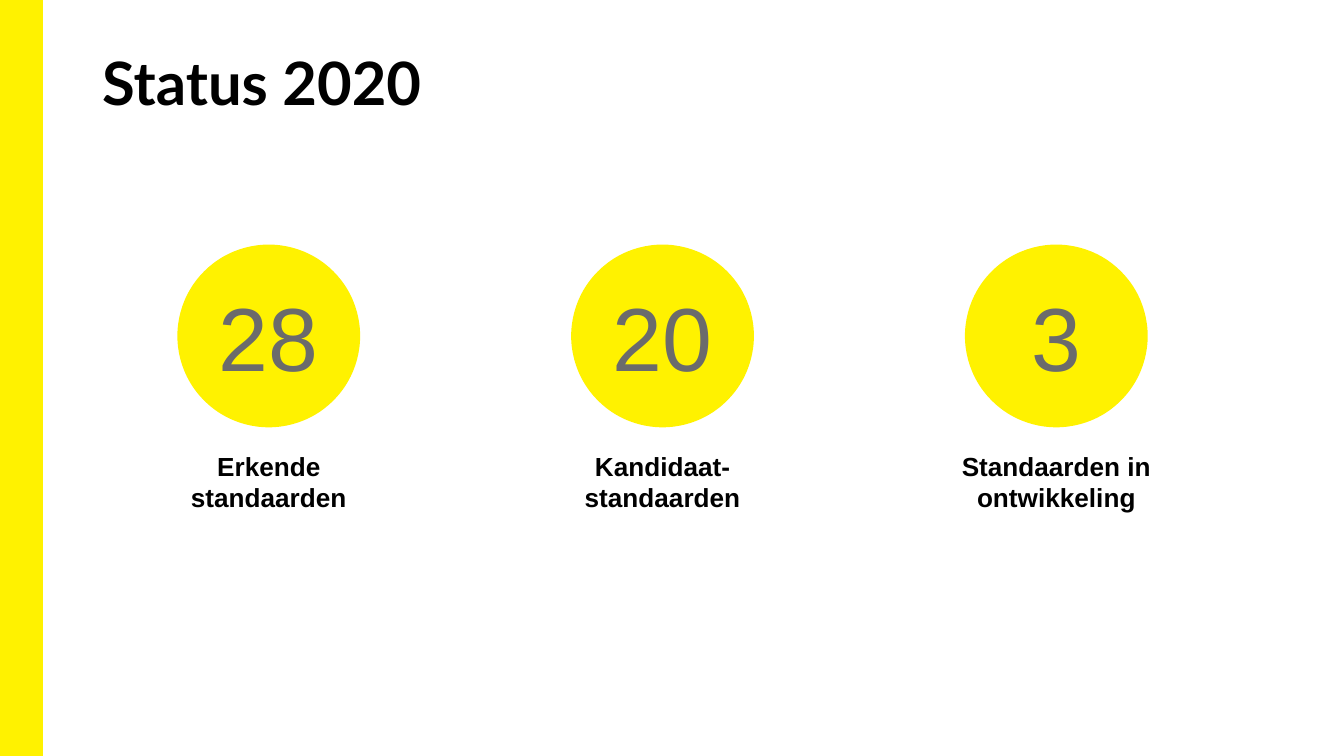
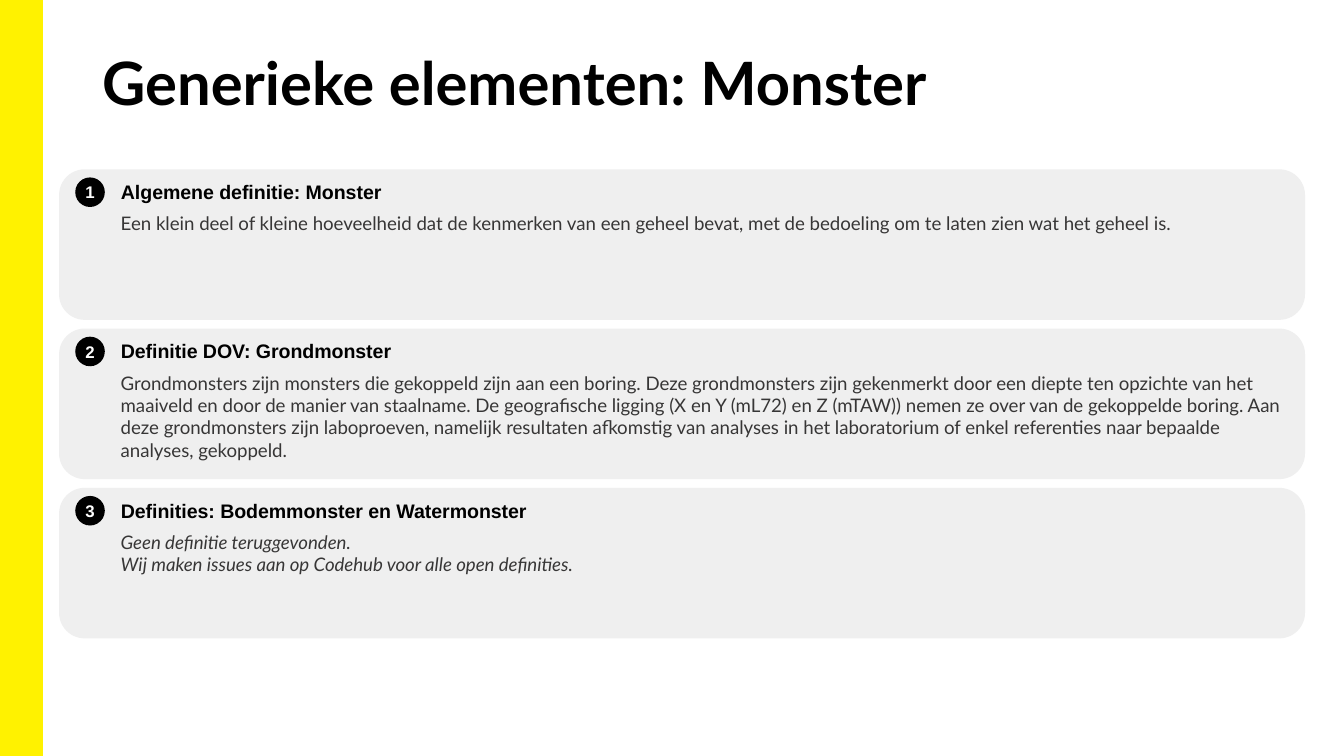
from dataclasses import dataclass

from pptx import Presentation
from pptx.dml.color import RGBColor
from pptx.enum import shapes, text
from pptx.util import Inches, Pt

YELLOW = RGBColor(0xFF, 0xF2, 0x00)
BLACK = RGBColor(0x00, 0x00, 0x00)
WHITE = RGBColor(0xFF, 0xFF, 0xFF)
GREY = RGBColor(0x6B, 0x6B, 0x6B)
DARK = RGBColor(0x37, 0x36, 0x36)
PANEL = RGBColor(0xEF, 0xEF, 0xEF)

SLIDE_W = 10
SLIDE_H = SLIDE_W * 9 / 16
BAND_W = 0.31
STAT_LEFT, STAT_TOP, STAT_PITCH, STAT_SIZE = 1.32, 1.82, 2.93, 1.36
LABEL_TOP, LABEL_W, LABEL_H = 3.3, 1.62, 0.57
PANEL_LEFT, PANEL_TOP, PANEL_W, PANEL_H = 0.44, 1.26, 9.27, 1.12
PANEL_LAST_TOP = 3.63
BADGE_SIZE = 0.22

RECT = shapes.MSO_SHAPE.RECTANGLE
OVAL = shapes.MSO_SHAPE.OVAL
ROUNDED = shapes.MSO_SHAPE.ROUNDED_RECTANGLE
LEFT, CENTER = text.PP_ALIGN.LEFT, text.PP_ALIGN.CENTER


@dataclass(frozen=True)
class Style:
    font: str
    size: float
    color: RGBColor
    bold: bool = False
    italic: bool = False
    align: text.PP_ALIGN = LEFT


@dataclass(frozen=True)
class Stat:
    value: str
    label: str


@dataclass(frozen=True)
class Definition:
    heading: str
    heading_w: float
    lines: tuple[str, ...]
    body_h: float
    italic: bool = False


TITLE = Style("Lato", 32, BLACK, bold=True)
VALUE = Style("Arial", 48, GREY, align=CENTER)
LABEL = Style("Arial", 14, BLACK, bold=True, align=CENTER)
BADGE = Style("Arial", 9, WHITE, bold=True, align=CENTER)
HEADING = Style("Arial", 10.5, BLACK, bold=True)
BODY = Style("Lato", 10, DARK)
BODY_ITALIC = Style("Lato", 10, DARK, italic=True)

STATS = [
    Stat("28", "Erkende standaarden"),
    Stat("20", "Kandidaat- standaarden"),
    Stat("3", "Standaarden in ontwikkeling"),
]

DEFINITIONS = [
    Definition(
        "Algemene definitie: Monster", 3.25,
        ("Een klein deel of kleine hoeveelheid dat de kenmerken van een geheel "
         "bevat, met de bedoeling om te laten zien wat het geheel is.",), 0.27),
    Definition(
        "Definitie DOV: Grondmonster", 2.63,
        ("Grondmonsters zijn monsters die gekoppeld zijn aan een boring. Deze "
         "grondmonsters zijn gekenmerkt door een diepte ten opzichte van het "
         "maaiveld en door de manier van staalname. De geografische ligging "
         "(X en Y (mL72) en Z (mTAW)) nemen ze over van de gekoppelde boring. "
         "Aan deze grondmonsters zijn laboproeven, namelijk resultaten "
         "afkomstig van analyses in het laboratorium of enkel referenties naar "
         "bepaalde analyses, gekoppeld.",), 0.77),
    Definition(
        "Definities: Bodemmonster en Watermonster", 4.17,
        ("Geen definitie teruggevonden.",
         "Wij maken issues aan op Codehub voor alle open definities."),
        0.44, italic=True),
]


def write(tf, lines: tuple[str, ...], style: Style) -> None:
    """Fill one paragraph, with a line break between the lines."""
    p = tf.paragraphs[0]
    p.alignment = style.align
    for i, line in enumerate(lines):
        if i:
            p.add_line_break()
        r = p.add_run()
        r.text = line
        r.font.name = style.font
        r.font.size = Pt(style.size)
        r.font.bold = style.bold
        r.font.italic = style.italic
        r.font.color.rgb = style.color


def set_margins(tf, x: float, y: float) -> None:
    tf.margin_left = tf.margin_right = Inches(x)
    tf.margin_top = tf.margin_bottom = Inches(y)


def add_filled(tree, kind, left: float, top: float, width: float,
               height: float, color: RGBColor):
    sp = tree.add_shape(kind, Inches(left), Inches(top), Inches(width), Inches(height))
    sp.shadow.inherit = False
    sp.fill.solid()
    sp.fill.fore_color.rgb = color
    sp.line.fill.background()
    return sp


def add_text(tree, left: float, top: float, width: float, height: float,
             lines: tuple[str, ...], style: Style, grow: bool = True):
    sp = tree.add_textbox(Inches(left), Inches(top), Inches(width), Inches(height))
    tf = sp.text_frame
    tf.word_wrap = True
    if grow:
        tf.auto_size = text.MSO_AUTO_SIZE.SHAPE_TO_FIT_TEXT
    write(tf, lines, style)
    return sp


def add_disc(tree, left: float, top: float, size: float, color: RGBColor,
             label: str, style: Style):
    sp = add_filled(tree, OVAL, left, top, size, size, color)
    sp.text_frame.vertical_anchor = text.MSO_ANCHOR.MIDDLE
    write(sp.text_frame, (label,), style)
    return sp


def add_slide(prs, title: str):
    slide = prs.slides.add_slide(prs.slide_layouts[5])
    sp = slide.shapes.title
    sp.left, sp.top = Inches(0.69), Inches(0.3)
    sp.width, sp.height = Inches(8.62), Inches(0.81)
    tf = sp.text_frame
    tf.word_wrap = True
    tf.auto_size = text.MSO_AUTO_SIZE.NONE
    tf.vertical_anchor = text.MSO_ANCHOR.TOP
    set_margins(tf, 0.07, 0.04)
    write(tf, (title,), TITLE)
    return slide


def move_band_to_master(prs, slide) -> None:
    """Draw the side band and hang it in the master, behind everything."""
    band = add_filled(slide.shapes, RECT, 0, 0, BAND_W, SLIDE_H, YELLOW)
    band.line.color.rgb = YELLOW
    band.line.width = Pt(1)
    prs.slide_master.shapes.element.insert(2, band.element)


def add_stat(slide, index: int, stat: Stat) -> None:
    left = STAT_LEFT + index * STAT_PITCH
    add_disc(slide.shapes, left, STAT_TOP, STAT_SIZE, YELLOW, stat.value, VALUE)
    add_text(slide.shapes, left - (LABEL_W - STAT_SIZE) / 2, LABEL_TOP,
             LABEL_W, LABEL_H, (stat.label,), LABEL)


def add_definition(slide, index: int, item: Definition) -> None:
    pitch = (PANEL_LAST_TOP - PANEL_TOP) / (len(DEFINITIONS) - 1)
    top = PANEL_TOP + index * pitch
    tree = slide.shapes.add_group_shape().shapes
    panel = add_filled(tree, ROUNDED, PANEL_LEFT, top, PANEL_W, PANEL_H, PANEL)
    panel.adjustments[0] = 0.17
    badge = add_disc(tree, 0.56, top + 0.06, BADGE_SIZE, BLACK, str(index + 1), BADGE)
    set_margins(badge.text_frame, 0, 0)
    heading = add_text(tree, 0.83, top + 0.01, item.heading_w, 0.3,
                       (item.heading,), HEADING, grow=False)
    set_margins(heading.text_frame, 0.07, 0.07)
    add_text(tree, 0.8, top + 0.27, 8.88, item.body_h, item.lines,
             BODY_ITALIC if item.italic else BODY)


def main() -> None:
    prs = Presentation()
    prs.slide_width, prs.slide_height = Inches(SLIDE_W), Inches(SLIDE_H)

    status = add_slide(prs, "Status 2020")
    move_band_to_master(prs, status)
    for i, stat in enumerate(STATS):
        add_stat(status, i, stat)

    sample = add_slide(prs, "Generieke elementen: Monster")
    for i, item in enumerate(DEFINITIONS):
        add_definition(sample, i, item)

    prs.save("out.pptx")


if __name__ == "__main__":
    main()
